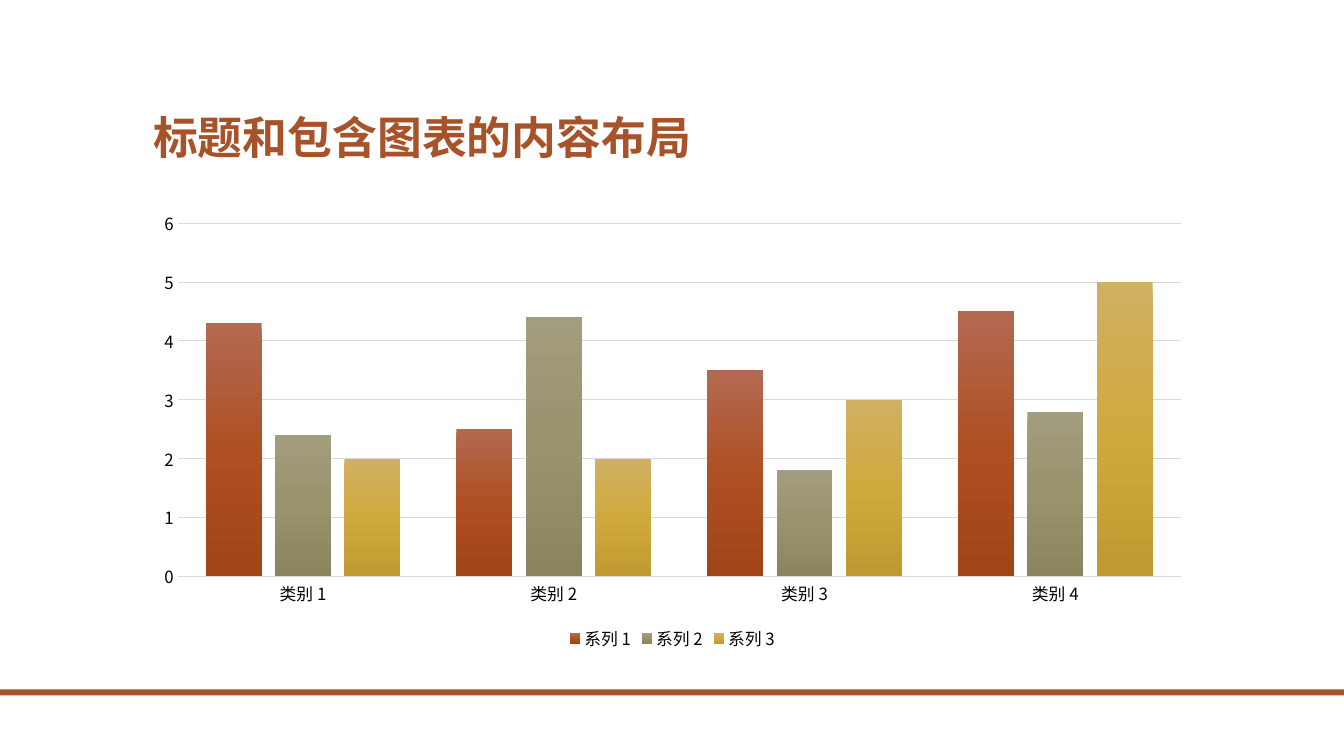
import pptx
import pptx.chart.data
import pptx.dml.color
import pptx.enum.chart
import pptx.enum.shapes
import pptx.enum.text
import pptx.oxml
import pptx.oxml.ns
import pptx.util

Inches = pptx.util.Inches
FONT = "Noto Sans CJK SC"
ACCENT = "A85229"
GRID = "D9D9D9"


def color(value):
    return pptx.dml.color.RGBColor.from_string(value)


def style_font(font, text_color, **formats):
    for name, value in formats.items():
        setattr(font, name, value)
    font.color.rgb = color(text_color)


deck = pptx.Presentation()
deck.slide_width = Inches(13.33)
deck.slide_height = Inches(7.5)
slide = deck.slides.add_slide(deck.slide_layouts[6])

band = slide.shapes.add_shape(
    pptx.enum.shapes.MSO_SHAPE.RECTANGLE, 0, Inches(6.84), deck.slide_width, Inches(0.06)
)
band.shadow.inherit = False
band.fill.solid()
band.fill.fore_color.rgb = color(ACCENT)
band.line.fill.background()

title_box = slide.shapes.add_textbox(Inches(1.42), Inches(0.42), Inches(10.5), Inches(1.25))
title_box.text_frame.word_wrap = True
title_box.text_frame.vertical_anchor = pptx.enum.text.MSO_ANCHOR.BOTTOM
span = title_box.text_frame.paragraphs[0].add_run()
span.text = "标题和包含图表的内容布局"
style_font(span.font, ACCENT, name=FONT, size=pptx.util.Pt(32), bold=True)

series_values = {
    "系列 1": (4.3, 2.5, 3.5, 4.5),
    "系列 2": (2.4, 4.4, 1.8, 2.8),
    "系列 3": (2, 2, 3, 5),
}
gradients = [
    ("B46952", "AE5023", "A14519"),
    ("A39D7F", "9A926C", "8B845E"),
    ("D0B062", "D0A93E", "C09A30"),
]
data = pptx.chart.data.CategoryChartData()
data.categories = ["类别 1", "类别 2", "类别 3", "类别 4"]
for name, values in series_values.items():
    data.add_series(name, values)

chart = slide.shapes.add_chart(
    pptx.enum.chart.XL_CHART_TYPE.COLUMN_CLUSTERED,
    Inches(1.42), Inches(2), Inches(10.5), Inches(4.5), data,
).chart
chart.has_title = False
style_font(chart.font, "514A40", name="Cambria", size=pptx.util.Pt(10))
chart.has_legend = True
chart.legend.position = pptx.enum.chart.XL_LEGEND_POSITION.BOTTOM
chart.legend.include_in_layout = False

plot = chart.plots[0]
plot.vary_by_categories = False
plot.gap_width = 100
plot.overlap = -24

category_axis = chart.category_axis
value_axis = chart.value_axis
value_axis.minimum_scale = 0
value_axis.maximum_scale = 6
value_axis.major_unit = 1
value_axis.has_major_gridlines = True
value_axis.format.line.fill.background()
for axis in (category_axis, value_axis):
    axis.major_tick_mark = pptx.enum.chart.XL_TICK_MARK.NONE
    axis.minor_tick_mark = pptx.enum.chart.XL_TICK_MARK.NONE
for line in (category_axis.format.line, value_axis.major_gridlines.format.line):
    line.color.rgb = color(GRID)
    line.width = pptx.util.Pt(0.75)
for labels in (category_axis.tick_labels, value_axis.tick_labels, chart.legend):
    style_font(labels.font, "000000", name=FONT, size=pptx.util.Pt(12))

for series, shades in zip(plot.series, gradients):
    stops = "".join(
        f'<a:gs pos="{index * 50000}"><a:srgbClr val="{shade}"/></a:gs>'
        for index, shade in enumerate(shades)
    )
    gradient = pptx.oxml.parse_xml(
        f'<a:gradFill {pptx.oxml.ns.nsdecls("a")} rotWithShape="1">'
        f'<a:gsLst>{stops}</a:gsLst><a:lin ang="5400000" scaled="0"/></a:gradFill>'
    )
    series._element.get_or_add_spPr().append(gradient)

for root in (title_box._element, chart._chartSpace):
    for latin in list(root.iter(pptx.oxml.ns.qn("a:latin"))):
        latin.addnext(pptx.oxml.parse_xml(
            f'<a:ea {pptx.oxml.ns.nsdecls("a")} typeface="{FONT}"/>'
        ))

deck.save("out.pptx")
